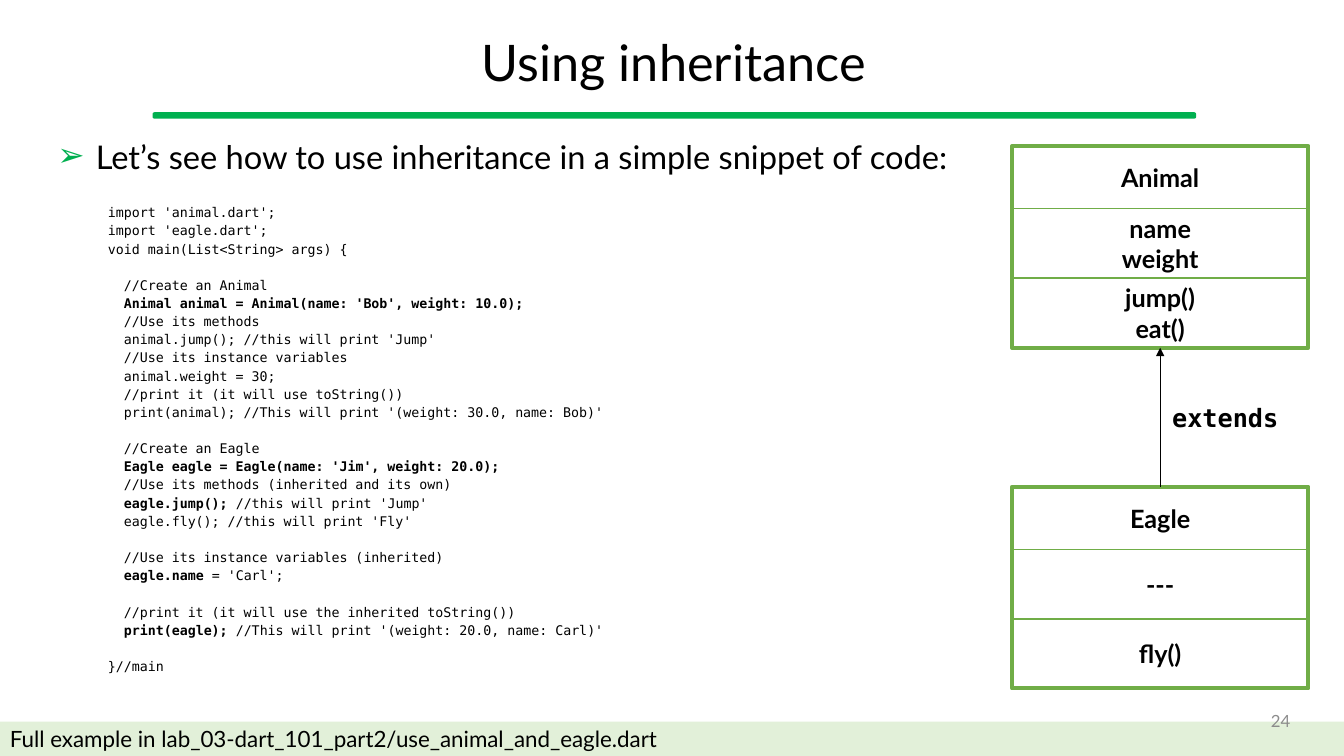
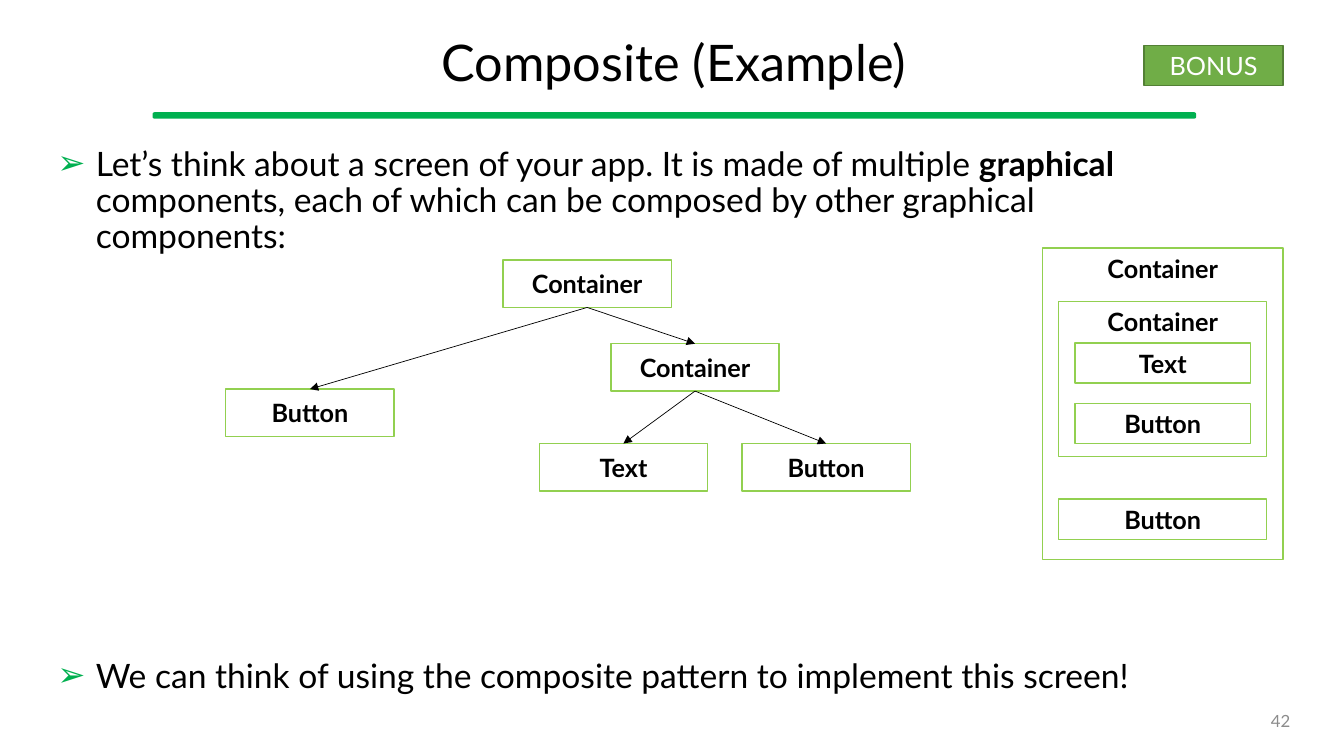
from collections import namedtuple

from lxml import etree
from pptx import Presentation
from pptx import util as u
from pptx.dml.color import RGBColor
from pptx.enum import shapes, text
from pptx.oxml import ns

COLORS = {
    "ink": "000000", "paper": "FFFFFF", "rule": "00B050", "band": "E2F0D9",
    "card": "70AD47", "badge_edge": "538035", "widget": "92D050", "number": "8C8C8C",
}
SANS, MONO = "Lato", "DejaVu Sans Mono"
COLUMNS, ROWS = 160, 90
WIDTH, HEIGHT = u.Inches(13.33), u.Inches(7.5)
CENTER, MIDDLE = text.PP_ALIGN.CENTER, text.MSO_ANCHOR.MIDDLE
Box = namedtuple("Box", "left top width height")

TITLE = Box(5.64, 2.16, 149.16, 11.28)
RULE = Box(18.24, 13.44, 124.08, 0.6)
NUMBER = Box(113.04, 83.4, 41.76, 4.8)
BAND = Box(0, 85.92, COLUMNS, 4.08)

CODE_BLOCKS = [
    """import 'animal.dart';
import 'eagle.dart';
void main(List<String> args) {""",
    """  //Create an Animal
  **Animal animal = Animal(name: 'Bob', weight: 10.0);**
  //Use its methods
  animal.jump(); //this will print 'Jump'
  //Use its instance variables
  animal.weight = 30;
  //print it (it will use toString())
  print(animal); //This will print '(weight: 30.0, name: Bob)'""",
    """  //Create an Eagle
  **Eagle eagle = Eagle(name: 'Jim', weight: 20.0);**
  //Use its methods (inherited and its own)
  **eagle.jump(); **//this will print 'Jump'
  eagle.fly(); //this will print 'Fly'""",
    """  //Use its instance variables (inherited)
  **eagle.name **= 'Carl';""",
    """  //print it (it will use the inherited toString())
  **print(eagle); **//This will print '(weight: 20.0, name: Carl)'""",
    "}//main",
]


def color(name):
    return RGBColor.from_string(COLORS[name])


def place(box):
    return (round(WIDTH * box.left / COLUMNS), round(HEIGHT * box.top / ROWS),
            round(WIDTH * box.width / COLUMNS), round(HEIGHT * box.height / ROWS))


def inside(box, margin, top, height):
    return Box(box.left + margin, box.top + top, box.width - 2 * margin, height)


def style(paragraph, size, font=SANS, ink="ink", bold=None):
    for run in paragraph.runs:
        run.font.size, run.font.name = u.Pt(size), font
        run.font.color.rgb = color(ink)
        if bold is not None:
            run.font.bold = bold


def write(frame, words, size, align=CENTER, anchor=MIDDLE, **look):
    frame.text = words
    frame.vertical_anchor = anchor
    for paragraph in frame.paragraphs:
        paragraph.alignment = align
        style(paragraph, size, **look)


def panel(slide, box, fill=None, line=None, weight=1, kind=shapes.MSO_SHAPE.RECTANGLE):
    shape = slide.shapes.add_shape(kind, *place(box))
    shape.shadow.inherit = False
    if fill:
        shape.fill.solid()
        shape.fill.fore_color.rgb = color(fill)
    else:
        shape.fill.background()
    if line:
        shape.line.color.rgb = color(line)
        shape.line.width = u.Pt(weight)
    else:
        shape.line.fill.background()
    return shape


def label(slide, box, words, size, wrap=True, **look):
    frame = slide.shapes.add_textbox(*place(box)).text_frame
    frame.word_wrap = wrap
    write(frame, words, size, **look)


def arrow(slide, source, source_site, target, target_site):
    link = slide.shapes.add_connector(shapes.MSO_CONNECTOR.STRAIGHT, 0, 0, 0, 0)
    link.begin_connect(source, source_site)
    link.end_connect(target, target_site)
    link.line.color.rgb = color("ink")
    link.line.width = u.Pt(0.5)
    etree.SubElement(link.line._get_or_add_ln(), ns.qn("a:tailEnd"), type="triangle")
    etree.SubElement(link._element.spPr, ns.qn("a:effectLst"))


def add_paragraph(frame, marked, size, spacing, before, left, indent, bullet=False, font=SANS):
    first = not frame.paragraphs[0].runs
    paragraph = frame.paragraphs[0] if first else frame.add_paragraph()
    paragraph.line_spacing = spacing
    paragraph.space_before = u.Pt(0 if first else before)
    paragraph.space_after = u.Pt(0)
    properties = paragraph._p.get_or_add_pPr()
    properties.set("marL", str(u.Inches(left)))
    properties.set("indent", str(u.Inches(indent)))
    if bullet:
        tint = etree.SubElement(properties, ns.qn("a:buClr"))
        etree.SubElement(tint, ns.qn("a:srgbClr"), val=COLORS["rule"])
        etree.SubElement(properties, ns.qn("a:buChar"), char="➢")
    else:
        etree.SubElement(properties, ns.qn("a:buNone"))
    for index, part in enumerate(marked.split("**")):
        if part:
            run = paragraph.add_run()
            run.text = part
            run.font.bold = index % 2 == 1
    style(paragraph, size, font)


def add_point(frame, words, size=24, spacing=0.9, before=10):
    add_paragraph(frame, words, size, spacing, before, 0.38, -0.38, bullet=True)


def add_code(frame, blocks):
    for block_index, block in enumerate(blocks):
        for line_index, line in enumerate(block.split("\n")):
            if line_index:
                before = 5
            else:
                before = 18 if block_index else 24.5
            add_paragraph(frame, line, 9.5, 0.7, before, 0.5, 0, font=MONO)


def base_slide(deck, heading, body_box):
    slide = deck.slides.add_slide(deck.slide_layouts[1])
    title, body = slide.placeholders
    for holder, box in ((title, TITLE), (body, body_box)):
        holder.left, holder.top, holder.width, holder.height = place(box)
        holder.text_frame.auto_size = text.MSO_AUTO_SIZE.NONE
        holder.text_frame.word_wrap = True
    write(title.text_frame, heading, 36)
    title.text_frame.paragraphs[0].line_spacing = 0.9
    rule = panel(slide, RULE, "rule", "rule", kind=shapes.MSO_SHAPE.ROUNDED_RECTANGLE)
    rule.adjustments[0] = 0.26
    return slide, body.text_frame


def page_number(slide, number):
    label(slide, NUMBER, number, 12, align=text.PP_ALIGN.RIGHT, ink="number")


def source_band(slide, box, words):
    frame = panel(slide, box, "band").text_frame
    frame.margin_top = frame.margin_bottom = 0
    write(frame, words, 16, align=text.PP_ALIGN.LEFT)


def class_card(slide, box, compartments):
    top = box.top
    for words, share in zip(compartments, (0.31, 0.345, 0.345)):
        height = box.height * share
        part = panel(slide, Box(box.left, top, box.width, height), "paper", "card")
        write(part.text_frame, words, 18, bold=True)
        top += height
    return panel(slide, box, line="card", weight=3)


def widget(slide, box, words, anchor=MIDDLE):
    shape = panel(slide, box, line="widget")
    write(shape.text_frame, words, 18, anchor=anchor, bold=True)
    return shape


def widget_tree(slide, box):
    spots = {
        "root": ("Container", 33, 0),
        "group": ("Container", 45.84, 9.96),
        "text": ("Text", 37.32, 21.84),
        "button": ("Button", 61.44, 21.84),
        "side": ("Button", 0, 15.36),
    }
    nodes = {
        key: widget(slide, Box(box.left + across, box.top + down, 20.04, 5.64), words)
        for key, (words, across, down) in spots.items()
    }
    for parent, child in (("root", "side"), ("root", "group"),
                          ("group", "text"), ("group", "button")):
        arrow(slide, nodes[parent], 2, nodes[child], 0)


def widget_nest(slide, box):
    margin, row = 1.96, 4.8
    group = inside(box, margin, 6.4, 18.4)
    for container in (box, group):
        widget(slide, container, "Container", text.MSO_ANCHOR.TOP)
    widget(slide, inside(group, margin, 4.9, row), "Text")
    widget(slide, inside(group, margin, 12.1, row), "Button")
    widget(slide, inside(box, margin, 29.9, row), "Button")


def inheritance_slide(deck):
    slide, body = base_slide(deck, "Using inheritance", Box(5.64, 16.92, 115.68, 67.92))
    add_point(body, "Let’s see how to use inheritance in a simple snippet of code:", 23.3, 0.7)
    add_code(body, CODE_BLOCKS)
    source_band(slide, BAND, "Full example in lab_03-dart_101_part2/use_animal_and_eagle.dart")
    card = Box(120.48, 17.4, 35.28, 24)
    animal = class_card(slide, card, ("Animal", "name\nweight", "jump()\neat()"))
    eagle = class_card(slide, card._replace(top=57.96), ("Eagle", "---", "fly()"))
    arrow(slide, eagle, 0, animal, 2)
    label(slide, Box(138.36, 47.28, 15.12, 4.8), "extends", 18, wrap=False,
          align=text.PP_ALIGN.LEFT, font=MONO, bold=True)
    page_number(slide, "24")


def composite_slide(deck):
    slide, body = base_slide(deck, "Composite (Example)", Box(5.64, 16.92, 137.16, 70.56))
    add_point(body, "Let’s think about a screen of your app. It is made of multiple "
                    "**graphical** components, each of which can be composed by other "
                    "graphical components:")
    add_point(body, "We can think of using the composite pattern to implement this screen!",
              before=288)
    widget_nest(slide, Box(124.08, 29.52, 28.68, 37.08))
    widget_tree(slide, Box(26.88, 30.96, 81.48, 27.48))
    page_number(slide, "42")
    badge = panel(slide, Box(136.2, 5.4, 16.56, 4.8), "card", "badge_edge")
    write(badge.text_frame, "BONUS", 18, ink="paper")


def main():
    deck = Presentation()
    deck.slide_width, deck.slide_height = WIDTH, HEIGHT
    inheritance_slide(deck)
    composite_slide(deck)
    deck.save("out.pptx")


if __name__ == "__main__":
    main()
